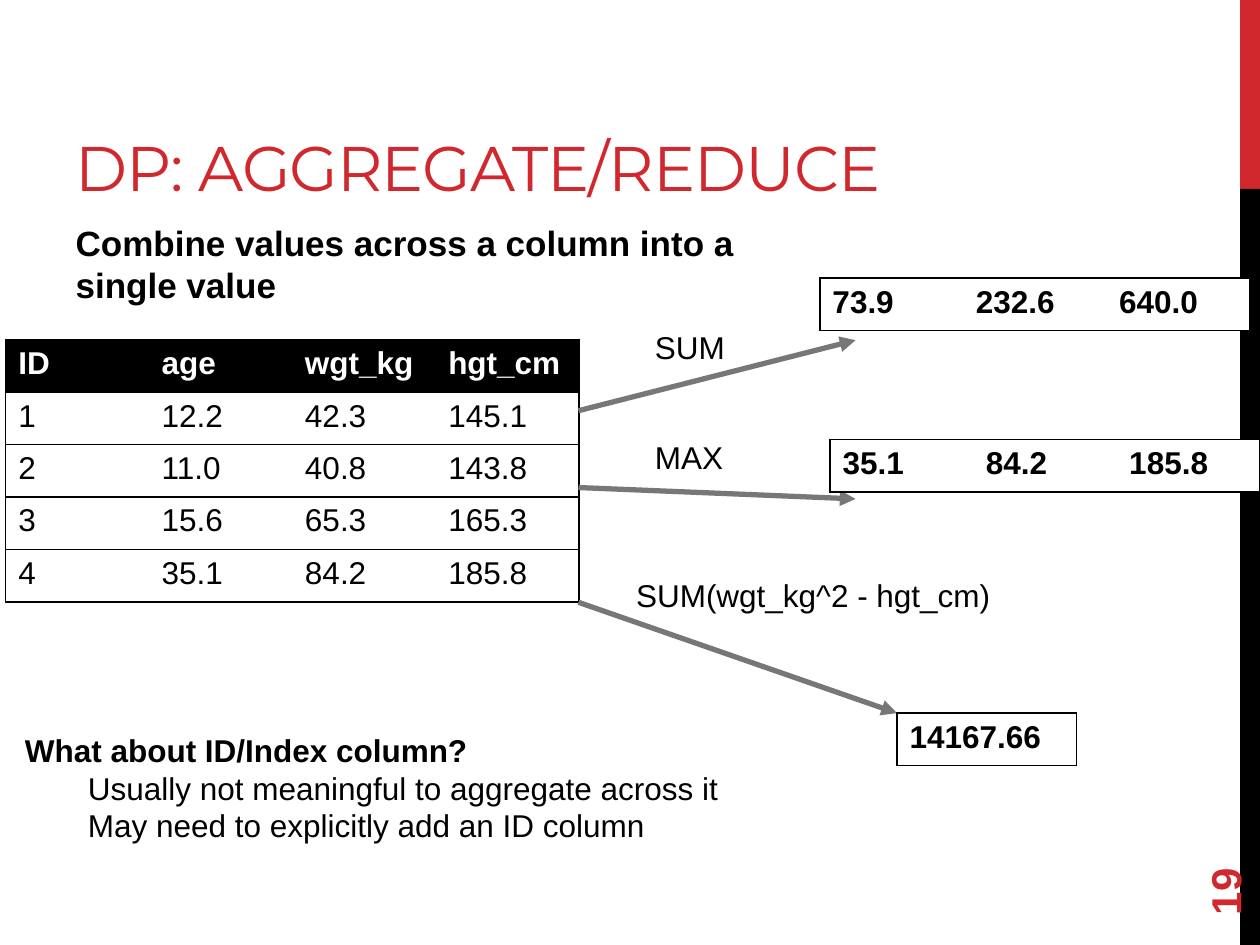
from lxml.etree import SubElement
from pptx import Presentation
from pptx.dml.color import RGBColor
from pptx.enum.shapes import MSO_CONNECTOR, MSO_SHAPE
from pptx.enum.text import MSO_ANCHOR, MSO_AUTO_SIZE, PP_ALIGN
from pptx.oxml.ns import qn
from pptx.util import Pt

RED = RGBColor(0xD1, 0x28, 0x2E)
BLACK = RGBColor(0, 0, 0)
WHITE = RGBColor(0xFF, 0xFF, 0xFF)
GRAY = RGBColor(0x77, 0x77, 0x77)

TITLE = "DP: AGGREGATE/REDUCE"
SUMMARY = "Combine values across a column into a single value"
PAGE_NUMBER = "19"
PEOPLE = [
    ("ID", "age", "wgt_kg", "hgt_cm"),
    ("1", "12.2", "42.3", "145.1"),
    ("2", "11.0", "40.8", "143.8"),
    ("3", "15.6", "65.3", "165.3"),
    ("4", "35.1", "84.2", "185.8"),
]
RESULTS = [
    (468.5, 159, 81.9, ("73.9", "232.6", "640.0")),
    (474.3, 251.2, 81.9, ("35.1", "84.2", "185.8")),
    (512.6, 407.5, 102.5, ("14167.66",)),
]
OPERATIONS = [
    ("SUM", (367.2, 183.6, 54.7, 29), (234.7, 488.9, 194.4)),
    ("MAX", (367.2, 247, 54.7, 29), (278.6, 488.9, 285.1)),
    ("SUM(wgt_kg^2 - hgt_cm)", (356.4, 325.4, 218.9, 29), (344.2, 512.6, 407.5)),
]
QUESTION = [
    ("What about ID/Index column?", True, 0),
    ("Usually not meaningful to aggregate across it", False, 36),
    ("May need to explicitly add an ID column", False, 36),
]
STRIPES = [(0, 108, RED), (108, 432, BLACK)]
STRIPE_LEFT, STRIPE_WIDTH = 708.7, 11.3
TABLE_LEFT, TABLE_TOP, ROW_HEIGHT, COLUMN_WIDTH = 3.3, 194.2, 29.95, 81.9
ARROW_LEFT = 330.6


def points(*lengths):
    return [Pt(length) for length in lengths]


def add_span(para, text, size=18, color=BLACK, bold=False, font="Arial"):
    span = para.add_run()
    span.text = text
    span.font.name = font
    span.font.size = Pt(size)
    span.font.bold = bold
    span.font.color.rgb = color
    return span


def add_text(page, place, text, wrap=False, **style):
    box = page.shapes.add_textbox(*points(*place))
    box.text_frame.word_wrap = wrap
    add_span(box.text_frame.paragraphs[0], text, **style)
    return box


def fill_placeholder(box, place, anchor, text, **style):
    box.left, box.top, box.width, box.height = points(*place)
    frame = box.text_frame
    frame.auto_size = MSO_AUTO_SIZE.NONE
    frame.word_wrap = True
    frame.vertical_anchor = anchor
    para = frame.paragraphs[0]
    properties = para._p.get_or_add_pPr()
    properties.set("marL", "0")
    properties.set("indent", "0")
    SubElement(properties, qn("a:buNone"))
    para.alignment = PP_ALIGN.LEFT
    para.space_before = Pt(0)
    return add_span(para, text, **style)


def draw_borders(cell, first, last):
    visible = {"a:lnL": first, "a:lnR": last, "a:lnT": True, "a:lnB": True}
    properties = cell._tc.get_or_add_tcPr()
    for tag, shown in visible.items():
        border = SubElement(properties, qn(tag), w=str(Pt(1)))
        if shown:
            fill = SubElement(border, qn("a:solidFill"))
            SubElement(fill, qn("a:srgbClr"), val=str(BLACK))
        else:
            SubElement(border, qn("a:noFill"))


def add_grid(page, left, top, column_width, rows, header=False):
    count = len(rows[0])
    size = (column_width * count, ROW_HEIGHT * len(rows))
    table = page.shapes.add_table(len(rows), count, *points(left, top, *size)).table
    table.first_row = header
    table.horz_banding = False
    for column in table.columns:
        column.width = Pt(column_width)
    for r, row in enumerate(rows):
        table.rows[r].height = Pt(ROW_HEIGHT)
        is_header = header and r == 0
        for c, text in enumerate(row):
            cell = table.cell(r, c)
            draw_borders(cell, c == 0, c == count - 1)
            cell.fill.solid()
            cell.fill.fore_color.rgb = BLACK if is_header else WHITE
            add_span(cell.text_frame.paragraphs[0], text,
                     color=WHITE if is_header else BLACK,
                     bold=is_header or not header)


def add_arrow(page, start_y, end_x, end_y):
    ends = points(ARROW_LEFT, start_y, end_x, end_y)
    arrow = page.shapes.add_connector(MSO_CONNECTOR.STRAIGHT, *ends)
    arrow.line.color.rgb = GRAY
    arrow.line.width = Pt(3)
    SubElement(arrow.line._get_or_add_ln(), qn("a:tailEnd"), type="triangle")
    SubElement(arrow._element.spPr, qn("a:effectLst"))


def main():
    deck = Presentation()
    deck.slide_width, deck.slide_height = points(720, 540)
    page = deck.slides.add_slide(deck.slide_layouts[1])

    heading = fill_placeholder(page.shapes.title, (36, 12.2, 512.6, 108),
                               MSO_ANCHOR.BOTTOM, TITLE,
                               size=36, color=RED, font="Montserrat")
    heading.font._element.set("spc", "-60")
    fill_placeholder(page.placeholders[1], (36, 123.1, 407.5, 59),
                     MSO_ANCHOR.TOP, SUMMARY, size=20, bold=True)

    for top, height, color in STRIPES:
        place = points(STRIPE_LEFT, top, STRIPE_WIDTH, height)
        stripe = page.shapes.add_shape(MSO_SHAPE.RECTANGLE, *place)
        stripe.shadow.inherit = False
        stripe.fill.solid()
        stripe.fill.fore_color.rgb = color
        stripe.line.fill.background()

    number = add_text(page, (648, 463.7, 103.7, 28.8), PAGE_NUMBER,
                      wrap=True, size=24, color=RED, bold=True)
    number.rotation = 270
    number.text_frame.vertical_anchor = MSO_ANCHOR.MIDDLE

    add_grid(page, TABLE_LEFT, TABLE_TOP, COLUMN_WIDTH, PEOPLE, header=True)
    for label, place, arrow in OPERATIONS:
        add_text(page, place, label)
        add_arrow(page, *arrow)
    for left, top, width, values in RESULTS:
        add_grid(page, left, top, width, [values])

    box = page.shapes.add_textbox(*points(7.2, 414, 414.7, 72.7))
    frame = box.text_frame
    frame.word_wrap = True
    for i, (text, bold, indent) in enumerate(QUESTION):
        para = frame.add_paragraph() if i else frame.paragraphs[0]
        para._p.get_or_add_pPr().set("marL", str(Pt(indent)))
        add_span(para, text, bold=bold)

    deck.save("out.pptx")


if __name__ == "__main__":
    main()
